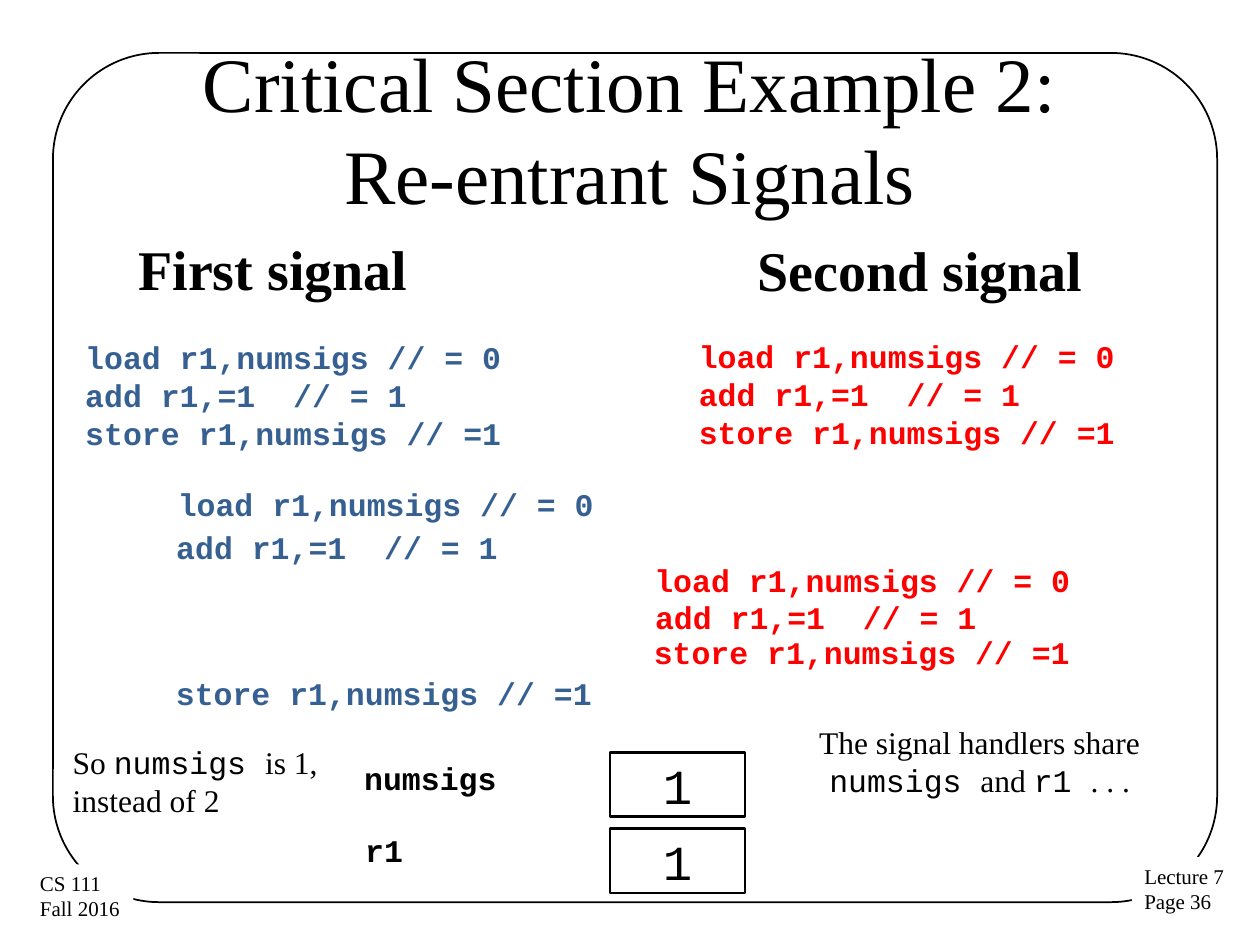
from pptx import Presentation
from pptx.util import Pt
from pptx.dml.color import RGBColor as RGB
from pptx.enum.shapes import MSO_SHAPE as Kind
from pptx.enum.text import PP_ALIGN as Align, MSO_ANCHOR as Anchor, MSO_AUTO_SIZE as Fit

HUE = {"ink": "000000", "paper": "FFFFFF", "first": "376092", "second": "FF0000"}
SERIF, MONO = "Times New Roman", "Courier New"

deck = Presentation()
deck.slide_width, deck.slide_height = Pt(720), Pt(540)
slide = deck.slides.add_slide(deck.slide_layouts[5])
shapes = slide.shapes


def write(shape, lines, size, hue="ink", bold=False, align=Align.LEFT,
          anchor=Anchor.TOP, wrap=False):
    """Each line is a list of (text, font) runs; the text "\\n" is a line break."""
    frame = shape.text_frame
    frame.word_wrap, frame.auto_size = wrap, Fit.NONE
    frame.vertical_anchor = anchor
    for i, runs in enumerate(lines):
        para = frame.paragraphs[0] if i == 0 else frame.add_paragraph()
        para.alignment = align
        for text, face in runs:
            if text == "\n":
                para.add_line_break()
                continue
            run = para.add_run()
            run.text = text
            font = run.font
            font.name, font.size, font.bold = face, Pt(size), bold
            font.color.rgb = RGB.from_string(HUE[hue])


def block(kind, x, y, w, h, fill=None, line=None):
    shape = shapes.add_shape(kind, Pt(x), Pt(y), Pt(w), Pt(h))
    shape.shadow.inherit = False
    if fill:
        shape.fill.solid()
        shape.fill.fore_color.rgb = RGB.from_string(HUE[fill])
    else:
        shape.fill.background()
    if line:
        shape.line.width = Pt(line)
        shape.line.color.rgb = RGB.from_string(HUE["ink"])
    else:
        shape.line.fill.background()
    return shape


# Title
title = shapes.title
title.left, title.top, title.width, title.height = Pt(36), Pt(28), Pt(648), Pt(90)
write(title, [[("Critical Section Example 2:", SERIF), ("\n", SERIF),
               ("Re-entrant Signals", SERIF)]], 44,
      align=Align.CENTER, anchor=Anchor.MIDDLE, wrap=True)

# Rounded frame, broken by the two footers
frame = block(Kind.ROUNDED_RECTANGLE, 30.25, 30.25, 665.25, 485.25, line=1)
frame.adjustments[0] = 0.125
for x, y, lines in [(646.8, 489.8, ("Lecture 7", "Page 36")),
                    (15.8, 494, ("CS 111", "Fall 2016"))]:
    foot = block(Kind.RECTANGLE, x, y, 60.5, 36.7, fill="paper")
    write(foot, [[(text, SERIF)] for text in lines], 12)

# Column heads
for x, y, w, text in [(72, 130.3, 170, "First signal"),
                      (425.7, 131, 202.5, "Second signal")]:
    head = shapes.add_textbox(Pt(x), Pt(y), Pt(w), Pt(46))
    write(head, [[(text, SERIF)]], 32, bold=True)

# Code: whole routines, then the interleaved steps, then variable names
LOAD, ADD, STORE = code = ("load r1,numsigs // = 0", "add r1,=1  // = 1",
                           "store r1,numsigs // =1")
for x, y, hue, lines in [
        (41.6, 189.6, "first", code),
        (392.2, 189.2, "second", code),
        (94.5, 273.6, "first", [LOAD]),
        (93.6, 298.2, "first", [ADD]),
        (366.8, 317.3, "second", [LOAD]),
        (367.2, 338.2, "second", [ADD]),
        (366.5, 358.4, "second", [STORE]),
        (93.4, 381.8, "first", [STORE]),
        (201, 430.2, "ink", ["numsigs"]),
        (201.6, 471.3, "ink", ["r1"])]:
    box = shapes.add_textbox(Pt(x), Pt(y), Pt(254), Pt(7.2 + 21.8 * len(lines)))
    write(box, [[(text, MONO)] for text in lines], 18, hue, bold=True)

# Values of numsigs and r1
for y in (430, 473.5):
    cell = block(Kind.RECTANGLE, 348.7, y, 77, 36.7, fill="paper", line=1.5)
    write(cell, [[("1", MONO)]], 28, align=Align.CENTER, anchor=Anchor.MIDDLE)

# Remarks
for x, y, w, h, align, runs in [
        (447.8, 409.7, 224, 94.3, Align.CENTER,
         [("The signal handlers share ", SERIF), ("numsigs ", MONO), ("and ", SERIF),
          ("r1 ", MONO), (". . .", SERIF)]),
        (34.5, 421.2, 175, 65.5, Align.LEFT,
         [("So ", SERIF), ("numsigs ", MONO), ("is 1, instead of 2", SERIF)])]:
    note = shapes.add_textbox(Pt(x), Pt(y), Pt(w), Pt(h))
    write(note, [runs], 18, align=align, wrap=True)

deck.save("out.pptx")
